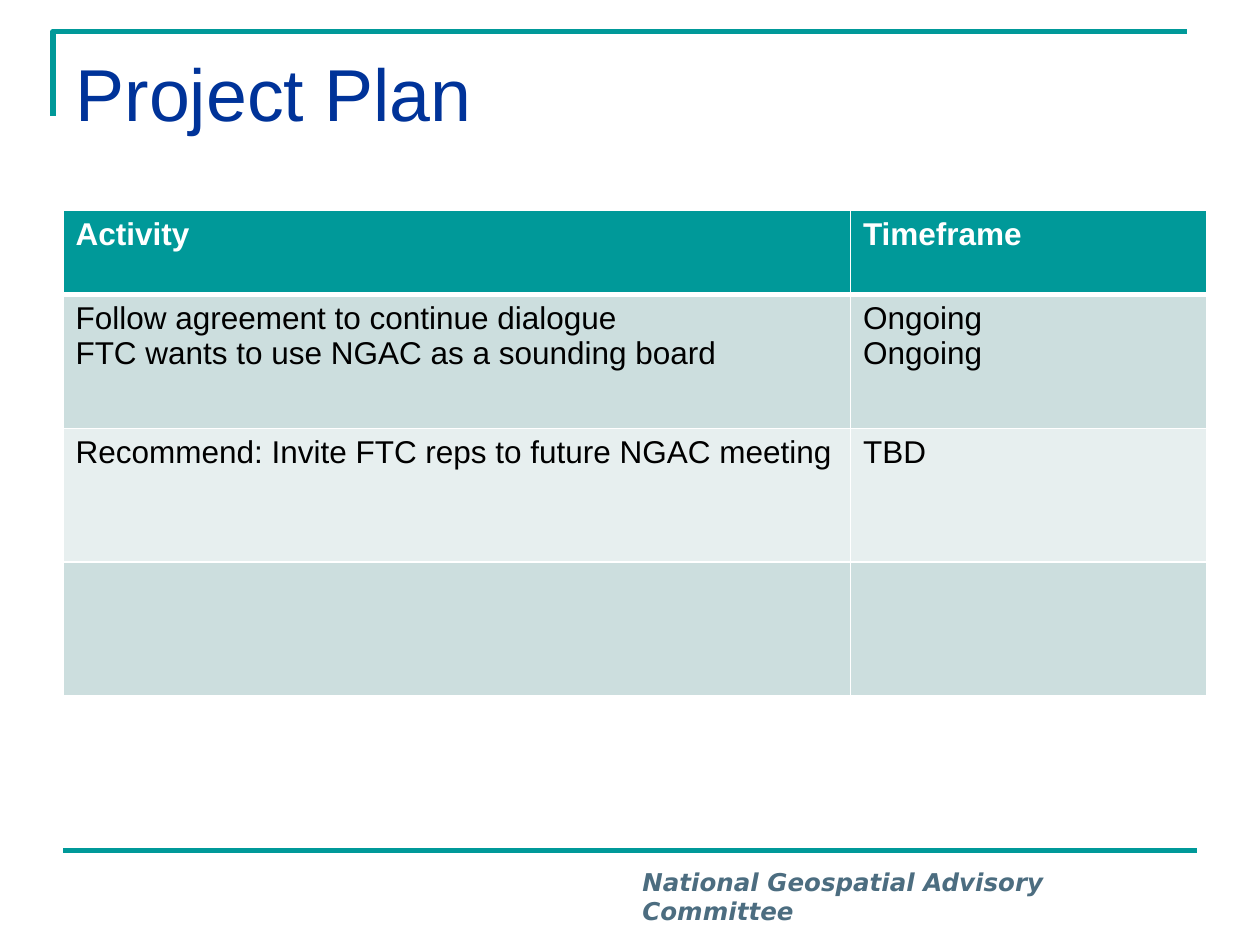
from lxml import etree
from pptx import Presentation
from pptx.dml.color import RGBColor
from pptx.enum.shapes import MSO_CONNECTOR
from pptx.enum.text import MSO_ANCHOR, PP_ALIGN
from pptx.oxml.ns import qn
from pptx.util import Inches, Pt

TEAL = "009999"
WHITE = "FFFFFF"
COLUMN_WIDTHS = [6.25, 2.83]
ROW_HEIGHTS = [0.67, 1.06, 1.06, 1.06]
ROW_FILLS = [TEAL, "CCDEDE", "E7EFEF", "CCDEDE"]
ROWS = [
    ["Activity", "Timeframe"],
    ["Follow agreement to continue dialogue\nFTC wants to use NGAC as a sounding board",
     "Ongoing\nOngoing"],
    ["Recommend: Invite FTC reps to future NGAC meeting", "TBD"],
    ["", ""],
]


def rgb(color):
    return RGBColor.from_string(color)


def set_font(p, name, size, color, bold=False, italic=False):
    p.font.name = name
    p.font.size = Pt(size)
    p.font.bold = bold
    p.font.italic = italic
    p.font.color.rgb = rgb(color)


def style_line(sp):
    sp.line.color.rgb = rgb(TEAL)
    sp.line.width = Pt(3)


def add_corner(s):
    builder = s.shapes.build_freeform(Inches(0.42), Inches(0.92))
    builder.add_line_segments(
        [(Inches(0.42), Inches(0.25)), (Inches(9.42), Inches(0.25))], close=False)
    sp = builder.convert_to_shape()
    sp.shadow.inherit = False
    sp.fill.background()
    style_line(sp)


def add_footer_rule(s):
    line = s.shapes.add_connector(
        MSO_CONNECTOR.STRAIGHT, Inches(0.5), Inches(6.75), Inches(9.5), Inches(6.75))
    style_line(line)
    etree.SubElement(line._element.spPr, qn("a:effectLst"))


def add_footer(s):
    tf = s.shapes.add_textbox(Inches(5), Inches(6.83), Inches(4.61), Inches(0.33)).text_frame
    tf.word_wrap = True
    p = tf.paragraphs[0]
    p.text = "National Geospatial Advisory Committee"
    set_font(p, "DejaVu Sans", 14, "4C6D80", bold=True, italic=True)


def set_title(s):
    title = s.shapes.title
    title.left, title.top = Inches(0.5), Inches(0.33)
    title.width, title.height = Inches(9), Inches(1.25)
    tf = title.text_frame
    tf.vertical_anchor = MSO_ANCHOR.TOP
    p = tf.paragraphs[0]
    p.text = "Project Plan"
    p.alignment = PP_ALIGN.LEFT
    set_font(p, "Arial", 42, "003399")


def set_borders(cell, top, bottom):
    tcPr = cell._tc.get_or_add_tcPr()
    widths = {"a:lnL": 1, "a:lnR": 1, "a:lnT": top, "a:lnB": bottom}
    for i, (tag, width) in enumerate(widths.items()):
        ln = etree.Element(qn(tag), w=str(Pt(width)))
        fill = etree.SubElement(ln, qn("a:solidFill"))
        etree.SubElement(fill, qn("a:srgbClr"), val=WHITE)
        tcPr.insert(i, ln)


def add_plan_table(s):
    table = s.shapes.add_table(
        len(ROWS), len(COLUMN_WIDTHS), Inches(0.5), Inches(1.67),
        Inches(sum(COLUMN_WIDTHS)), Inches(sum(ROW_HEIGHTS))).table
    for column, width in zip(table.columns, COLUMN_WIDTHS):
        column.width = Inches(width)
    for i, texts in enumerate(ROWS):
        table.rows[i].height = Inches(ROW_HEIGHTS[i])
        header = i == 0
        for j, text in enumerate(texts):
            cell = table.cell(i, j)
            cell.text = text
            cell.fill.solid()
            cell.fill.fore_color.rgb = rgb(ROW_FILLS[i])
            set_borders(cell, top=3 if i == 1 else 1, bottom=3 if header else 1)
            for p in cell.text_frame.paragraphs:
                set_font(p, "Arial", 18, WHITE if header else "000000", bold=header)


def main():
    prs = Presentation()
    prs.slide_width, prs.slide_height = Inches(10), Inches(7.5)
    s = prs.slides.add_slide(prs.slide_layouts[5])
    add_corner(s)
    add_footer_rule(s)
    add_footer(s)
    set_title(s)
    add_plan_table(s)
    prs.save("out.pptx")


if __name__ == "__main__":
    main()
